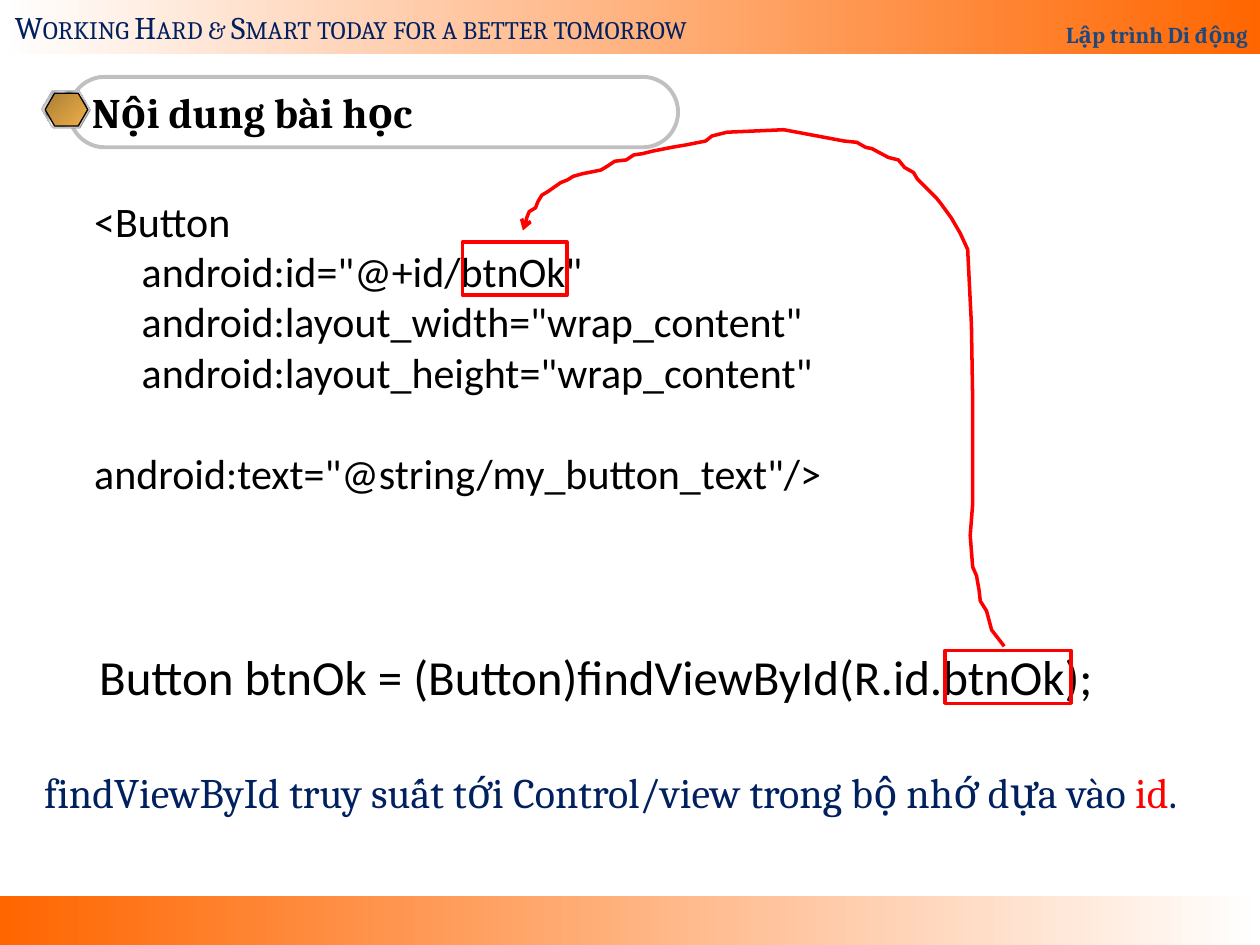
from lxml.etree import SubElement
from pptx import Presentation
from pptx.dml.color import RGBColor
from pptx.enum.shapes import MSO_SHAPE
from pptx.enum.text import MSO_ANCHOR, MSO_AUTO_SIZE, PP_ALIGN
from pptx.oxml.ns import qn
from pptx.util import Cm, Pt

WHITE = RGBColor(0xFF, 0xFF, 0xFF)
BLACK = RGBColor(0, 0, 0)
ORANGE = RGBColor(0xFF, 0x66, 0x00)
BLUE = RGBColor(0x1F, 0x49, 0x7D)
NAVY = RGBColor(0x00, 0x20, 0x60)
RED = RGBColor(0xFF, 0, 0)
SILVER = RGBColor(0xC0, 0xC0, 0xC0)
GRAY = RGBColor(0x80, 0x80, 0x80)
PALE = RGBColor(0xE6, 0xE6, 0xE6)
STEEL = RGBColor(0x7D, 0x84, 0x96)
BRONZE = RGBColor(0xAB, 0x7E, 0x34)
GOLD = RGBColor(0xEF, 0xB0, 0x49)

COURSE = "Lập trình Di động"
SLOGAN = "Working Hard & Smart today for a better tomorrow"
TITLE = "Nội dung bài học"
INDENT = "     "
ATTRIBUTES = [
    'android:id="@+id/btnOk"',
    'android:layout_width="wrap_content"',
    'android:layout_height="wrap_content"',
    'android:text="@string/my_button_text"/>',
]
CALL = "Button btnOk = (Button)findViewById(R.id.btnOk);"
NOTE = [
    ("findViewById truy suất tới Control/view trong bộ nhớ dựa vào ", NAVY),
    ("id", RED),
    (".", NAVY),
]

# Places are left, top, width, height in centimetres.
METAL = [(0, PALE), (7, STEEL), (26, PALE), (34, STEEL), (46, PALE), (50, WHITE),
         (54, PALE), (66, STEEL), (74, PALE), (93, STEEL), (100, PALE)]
HEXAGONS = [
    ((0.86, 1.85, 0.97, 0.74), GRAY, None),
    ((0.84, 1.83, 0.97, 0.74), METAL, SILVER),
    ((0.91, 1.88, 0.86, 0.66), [(0, BRONZE), (100, GOLD)], BLACK),
]
ID_MARKS = [(9.32, 4.88, 2.11, 1.07), (19.05, 13.11, 2.54, 1.07)]
# The hand-drawn arrow, in hundredths of an inch
ARROW = [
    (797, 513), (787, 500), (783, 485), (778, 477), (777, 468), (775, 457),
    (772, 450), (770, 425), (772, 400), (772, 318), (771, 258), (768, 198),
    (762, 185), (755, 173), (747, 162), (743, 157), (733, 147), (728, 142),
    (725, 137), (718, 133), (713, 127), (705, 125), (692, 118), (687, 117),
    (680, 113), (670, 112), (622, 103), (577, 105), (565, 108), (560, 112),
    (545, 115), (533, 117), (528, 118), (518, 120), (510, 122), (503, 123),
    (497, 127), (488, 128), (482, 132), (477, 135), (462, 138), (455, 140),
    (450, 143), (445, 145), (435, 152), (430, 155), (427, 160), (425, 165),
    (420, 168), (418, 173), (417, 180), (415, 183),
]


def place(values):
    return [Cm(value) for value in values]


def set_gradient(fill, stops, angle):
    """Fill with (percent, colour) stops; the angle runs clockwise."""
    fill.gradient()
    gradient = fill._xPr.find(qn("a:gradFill"))
    stop_list = gradient.find(qn("a:gsLst"))
    for stop in list(stop_list):
        stop_list.remove(stop)
    for percent, color in stops:
        stop = SubElement(stop_list, qn("a:gs"), pos=str(percent * 1000))
        SubElement(stop, qn("a:srgbClr"), val=str(color))
    gradient.find(qn("a:lin")).set("ang", str(angle * 60000))


def style_shape(shape, fill=None, line=None, width=0.75, angle=0):
    shape.shadow.inherit = False
    if fill is None:
        shape.fill.background()
    elif isinstance(fill, list):
        set_gradient(shape.fill, fill, angle)
    else:
        shape.fill.solid()
        shape.fill.fore_color.rgb = fill
    if line is None:
        shape.line.fill.background()
    else:
        shape.line.color.rgb = line
        shape.line.width = Pt(width)
    return shape


def add_shape(page, kind, where, **style):
    return style_shape(page.shapes.add_shape(kind, *place(where)), **style)


def write(box, spans, size, font="Cambria", color=BLACK, bold=False, small_caps=False,
          align=PP_ALIGN.LEFT, anchor=MSO_ANCHOR.TOP, wrap=True, spacing=None):
    """Write a string or (text, colour) spans; a newline is a line break."""
    frame = box.text_frame
    frame.word_wrap = wrap
    frame.auto_size = MSO_AUTO_SIZE.NONE
    frame.vertical_anchor = anchor
    para = frame.paragraphs[0]
    para.alignment = align
    if spacing:
        para.line_spacing = spacing
    for text, span_color in [(spans, color)] if isinstance(spans, str) else spans:
        for number, line in enumerate(text.split("\n")):
            if number:
                para.add_line_break()
            span = para.add_run()
            span.text = line
            span.font.size = Pt(size)
            span.font.name = font
            span.font.bold = bold
            span.font.color.rgb = span_color
            if small_caps:
                span.font._element.set("cap", "small")


def add_text(page, where, spans, size, **style):
    write(page.shapes.add_textbox(*place(where)), spans, size, **style)


def add_bars(page):
    add_shape(page, MSO_SHAPE.RECTANGLE, (0, 18.06, 25.4, 0.99),
              fill=[(0, ORANGE), (100, WHITE)])
    top = add_shape(page, MSO_SHAPE.RECTANGLE, (0, -0.15, 25.4, 1.24),
                    fill=[(0, WHITE), (100, ORANGE)])
    write(top, COURSE, 13, color=BLUE, bold=True, align=PP_ALIGN.RIGHT,
          anchor=MSO_ANCHOR.BOTTOM, spacing=1.8)
    add_text(page, (0.05, 0.03, 14.99, 1.02), SLOGAN, 18, color=NAVY,
             small_caps=True, wrap=False)


def add_title(page):
    frame = add_shape(page, MSO_SHAPE.ROUNDED_RECTANGLE, (1.4, 1.55, 12.27, 1.42),
                      line=SILVER, width=2.25)
    frame.adjustments[0] = 0.5
    for where, fill, line in HEXAGONS:
        hexagon = add_shape(page, MSO_SHAPE.HEXAGON, where, fill=fill, line=line, angle=45)
        hexagon.adjustments[0] = 0.29
    title = page.shapes.title
    title.left, title.top, title.width, title.height = place((1.6, 1.55, 11.87, 1.42))
    write(title, TITLE, 24, bold=True, anchor=MSO_ANCHOR.MIDDLE)


def add_arrow(page):
    builder = page.shapes.build_freeform(*ARROW[0], scale=Cm(0.0254))
    builder.add_line_segments(ARROW[1:], close=False)
    arrow = style_shape(builder.convert_to_shape(), line=RED, width=2)
    SubElement(arrow.line._get_or_add_ln(), qn("a:tailEnd"), type="arrow")


def main():
    deck = Presentation()
    deck.slide_width, deck.slide_height = Cm(25.4), Cm(19.05)
    page = deck.slides.add_slide(deck.slide_layouts[5])
    add_bars(page)
    add_title(page)
    code = "\n".join(["<Button"] + [INDENT + attribute for attribute in ATTRIBUTES])
    add_text(page, (1.65, 3.81, 15.88, 6.4), code, 24, font="Calibri")
    add_text(page, (1.75, 12.9, 21.23, 1.45), CALL, 28, font="Calibri")
    for where in ID_MARKS:
        add_shape(page, MSO_SHAPE.RECTANGLE, where, line=RED, width=2)
    add_arrow(page)
    add_text(page, (0.64, 15.32, 24.33, 1.27), NOTE, 24, align=PP_ALIGN.JUSTIFY)
    deck.save("out.pptx")


if __name__ == "__main__":
    main()
